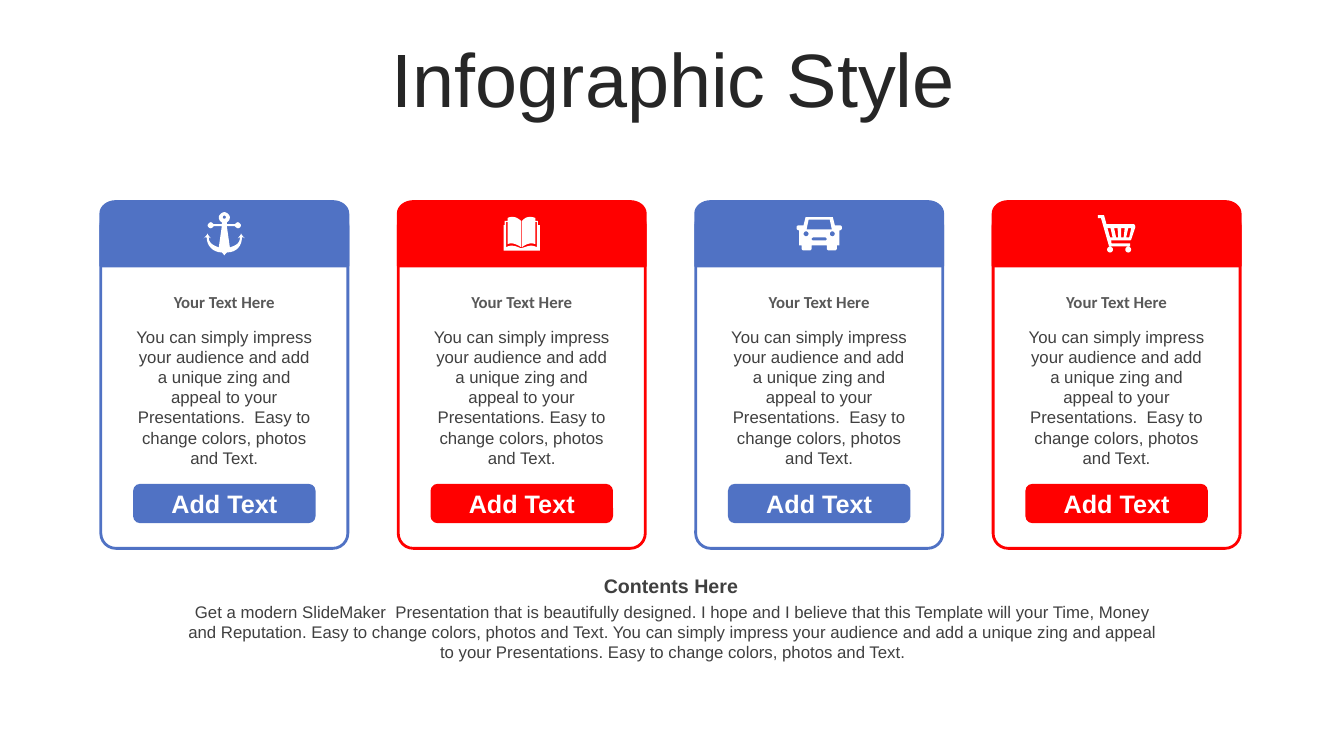
import pptx
import pptx.dml.color
import pptx.enum.shapes
import pptx.enum.text
import pptx.util
from pptx.util import Inches

BLUE, RED, WHITE, GRAY = "5072C4", "FF0000", "FFFFFF", "404040"
CARD_WIDTH, CARD_STEP, HEADER_TOP = 2.45, 2.95, 2.0
BUTTON_WIDTH, TEXT_WIDTH = 1.81, 2.03

# Outlines in hundredths of an inch: M move, L line, C Bezier curve, O circle (x, y, radius)
HEADER = "M 15 0 L 230 0 C 238 0 245 5 245 12 L 245 64 L 0 64 L 0 12 C 0 5 7 0 15 0"
ANCHOR = """
    O 20.5 5 1.6
    M 20.5 0 C 23 0 26 3 26 5 C 26 7 25 9 23 10 L 23 12 L 31 12
    C 32 11 33 10 34 10 C 35 10 37 12 37 13 C 37 15 35 16 34 16 C 33 16 32 15 31 14
    L 23 14 L 26 35 C 32 33 36 31 36 25 C 36 25 35 25 34 26 C 35 24 37 23 37 21
    C 38 23 39 24 41 26 C 40 25 39 25 38 25 C 38 33 33 40 23 40 C 22 41 21 42 20.5 43
    C 20 42 19 41 18 40 C 9 40 3 33 3 25 C 2 25 1 25 0 26 C 2 24 3 23 4 21
    C 4 23 6 24 7 26 C 6 25 5 25 5 25 C 5 31 10 33 15 35 L 18 14 L 10 14
    C 9 15 8 16 7 16 C 6 16 4 15 4 13 C 4 12 6 10 7 10 C 8 10 9 11 10 12
    L 18 12 L 18 10 C 16 9 15 7 15 5 C 15 3 18 0 20.5 0"""
BOOK = """
    M 17 31 L 18 31 C 24 29 27 27 33 30 L 33 5 L 31.5 5 L 31.5 27
    C 27 25 22 27 18.3 30 L 18.3 4 C 21 1 23 0 26 0 C 28 0 29 0 31.5 1 L 31.5 4
    L 34 4 L 34 8 L 36 8 L 36 33.5 L 0 33.5 L 0 8 L 1 8 L 1 4 L 4 4 L 4 1
    C 6 0 7 0 9 0 C 12 0 14 1 17.5 4 L 17.5 30 C 13 27 8 25 4 27 L 4 5 L 2.5 5
    L 2.5 30 C 8 27 12 29 17 31"""
CAR = """
    M 17 20 C 16 20 15 21 15 21.5 C 15 23 16 23 17 23 L 28.5 23
    C 29 23 30 23 30 21.5 C 30 21 29 20 28.5 20
    O 35.5 16.5 2.5 O 9.5 16.5 2.5 M 12 2.5 L 10 12 L 35 12 L 33 2.5
    M 9 0 L 36 0 L 38 8 L 43 8 C 44 8 45 9 45 10 L 45 11 C 45 12 44 13 43 13
    L 42.5 13 L 42.5 28 L 40 28 L 40 31 C 40 32 39 33 38 33 L 32 33
    C 31 33 30 32 30 31 L 30 28 L 15 28 L 15 31 C 15 32 14 33 13 33 L 7 33
    C 6 33 5 32 5 31 L 5 28 L 2.5 28 L 2.5 13 C 1 13 0 12 0 11 L 0 10
    C 0 9 1 8 2.5 8 L 7 8"""
CART = """
    M 30 13 L 28 22 L 31 22 L 33 13 M 23 13 L 23 22 L 25.5 22 L 26.5 13
    M 16 13 L 18 22 L 20 22 L 19.5 13 M 9.5 13 L 12 22 L 14.5 22 L 12.5 13
    M 6 0 L 8.5 9 L 35 9 C 36.5 9 37 10 37 12 L 33 24 C 33 25 32 25 31 25
    L 13 25 L 13.5 28 L 32 28 L 32 31 L 11 31 L 3 3 L 0 3 L 0 0
    O 12 34.2 2.9 O 30 34.2 2.9"""

deck = pptx.Presentation()
deck.slide_width, deck.slide_height = Inches(13.33), Inches(7.5)
slide = deck.slides.add_slide(deck.slide_layouts[5])
shapes = slide.shapes


def rgb(value):
    return pptx.dml.color.RGBColor.from_string(value)


def contours(outline):
    """Turn an outline string into lists of points, with curves split into short lines."""
    tokens = iter(outline.split())
    result = []
    for command in tokens:
        count = {"M": 2, "L": 2, "C": 6, "O": 3}[command]
        numbers = [float(next(tokens)) for _ in range(count)]
        if command == "M":
            result.append([tuple(numbers)])
        elif command == "L":
            result[-1].append(tuple(numbers))
        elif command == "C":
            x0, y0 = result[-1][-1]
            x1, y1, x2, y2, x3, y3 = numbers
            for t in (step / 8 for step in range(1, 9)):
                a, b, c, d = (1 - t) ** 3, 3 * t * (1 - t) ** 2, 3 * t * t * (1 - t), t ** 3
                result[-1].append((a * x0 + b * x1 + c * x2 + d * x3,
                                   a * y0 + b * y1 + c * y2 + d * y3))
        else:
            x, y, radius = numbers
            turns = [complex(0.924, 0.383) ** step for step in range(16)]
            result.append([(x + radius * p.real, y + radius * p.imag) for p in turns])
    return result


title = shapes.title
title.left, title.top, title.width, title.height = (
    Inches(0.35), Inches(0.37), Inches(12.66), Inches(0.79))
texts = [(title.text_frame, "Infographic Style", 54, "Arial", "262626", False)]

card_text = ("You can simply impress your audience and add a unique zing and appeal to your "
             "Presentations.{}Easy to change colors, photos and Text.")
contents_text = (
    "Get a modern SlideMaker  Presentation that is beautifully designed. I hope and I believe "
    "that this Template will your Time, Money and Reputation. Easy to change colors, photos "
    "and Text. You can simply impress your audience and add a unique zing and appeal to your "
    "Presentations. Easy to change colors, photos and Text.")
boxes = [
    (1.66, 5.64, 9.99, 0.34, "Contents Here", 14, "Arial", GRAY, True),
    (1.68, 5.92, 9.99, 0.71, contents_text, 12, "Arial", GRAY, False),
]

cards = [(BLUE, ANCHOR, "  "), (RED, BOOK, " "), (BLUE, CAR, "  "), (RED, CART, "  ")]
for index, (color, icon, gap) in enumerate(cards):
    left = 1 + index * CARD_STEP
    center = left + CARD_WIDTH / 2

    button_left = center - BUTTON_WIDTH / 2
    for x, top, width, height, corner, fill, outlined in (
            (left, 2.09, CARD_WIDTH, 3.35, 0.061, WHITE, True),
            (button_left, 4.8, BUTTON_WIDTH, 0.39, 0.178, color, False)):
        panel = shapes.add_shape(pptx.enum.shapes.MSO_SHAPE.ROUNDED_RECTANGLE,
                                 Inches(x), Inches(top), Inches(width), Inches(height))
        panel.adjustments[0] = corner
        panel.shadow.inherit = False
        panel.fill.solid()
        panel.fill.fore_color.rgb = rgb(fill)
        if outlined:
            panel.line.color.rgb = rgb(color)
            panel.line.width = pptx.util.Pt(2)
        else:
            panel.line.fill.background()
            texts.append((panel.text_frame, "Add Text", 18, "Arial", WHITE, True))

    for outline, fill, middle in ((HEADER, color, HEADER_TOP + 0.32), (icon, WHITE, 2.32)):
        loops = contours(outline)
        points = [point for loop in loops for point in loop]
        x = center - max(p[0] for p in points) / 200
        y = middle - max(p[1] for p in points) / 200
        builder = shapes.build_freeform(scale=Inches(1) / 10000)
        for loop in loops:
            scaled = [(px * 100, py * 100) for px, py in loop]
            builder.move_to(*scaled[0])
            builder.add_line_segments(scaled[1:], close=True)
        drawing = builder.convert_to_shape(Inches(x), Inches(y))
        drawing.shadow.inherit = False
        drawing.fill.solid()
        drawing.fill.fore_color.rgb = rgb(fill)
        if outline == HEADER:
            drawing.line.color.rgb = rgb(color)
            drawing.line.width = pptx.util.Pt(2)
        else:
            drawing.line.fill.background()

    text_left = left + 0.21
    boxes += [
        (text_left, 2.85, TEXT_WIDTH, 0.3, "Your Text Here", 12, "Calibri", "595959", True),
        (text_left, 3.19, TEXT_WIDTH, 1.31, card_text.format(gap), 12, "Arial", GRAY, False),
    ]

for left, top, width, height, *content in boxes:
    box = shapes.add_textbox(Inches(left), Inches(top), Inches(width), Inches(height))
    texts.append((box.text_frame, *content))

for frame, wording, size, font, color, bold in texts:
    frame.word_wrap = True
    frame.auto_size = pptx.enum.text.MSO_AUTO_SIZE.NONE
    frame.vertical_anchor = pptx.enum.text.MSO_ANCHOR.MIDDLE
    if size == 12:
        frame.vertical_anchor = pptx.enum.text.MSO_ANCHOR.TOP
    paragraph = frame.paragraphs[0]
    paragraph.alignment = pptx.enum.text.PP_ALIGN.CENTER
    run = paragraph.add_run()
    run.text = wording
    run.font.size = pptx.util.Pt(size)
    run.font.name = font
    run.font.bold = bold
    run.font.color.rgb = rgb(color)

deck.save("out.pptx")
